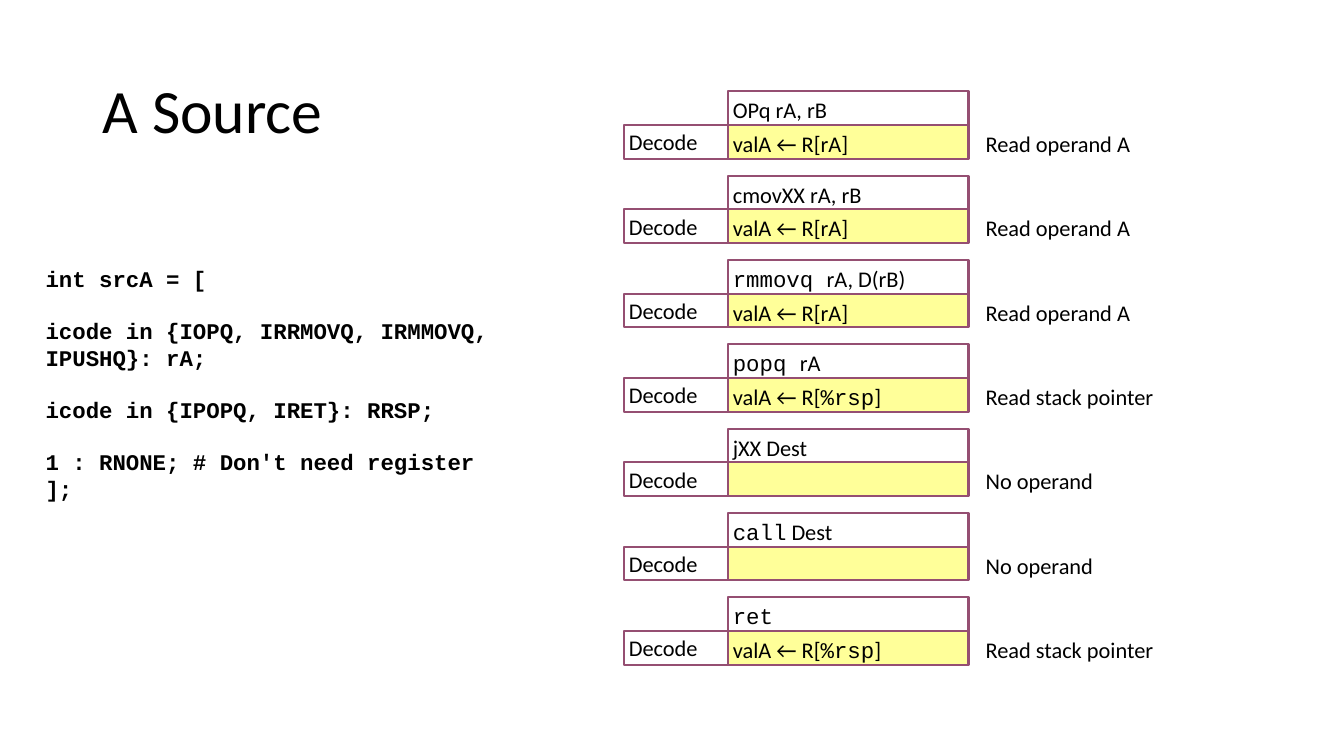
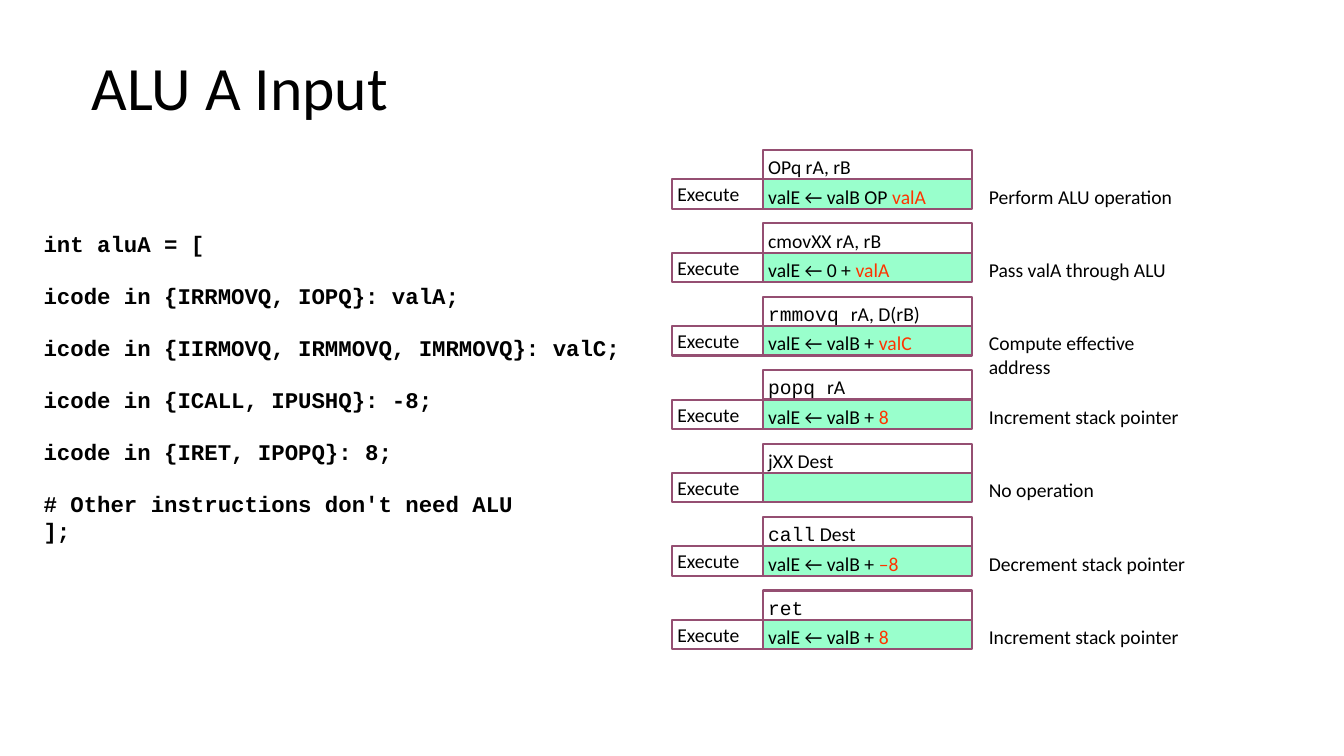
"""Build two slides that pair control logic code with its instruction stages."""
from pptx import Presentation
from pptx.dml.color import RGBColor
from pptx.enum.shapes import MSO_SHAPE
from pptx.enum.text import MSO_ANCHOR, PP_ALIGN
from pptx.util import Cm, Pt

COLORS = {
    "text": "000000",
    "border": "954F72",
    "decode": "FFFF99",
    "execute": "99FFCC",
    "operand": "FF3300",
}
BODY_FONT = "Calibri"
CODE_FONT = "Courier New"
INSET = Cm(0.13)
NOTE_GAP = 0.3
ROW_PITCH = 2.5

INSTRUCTIONS = [
    [("OPq rA, rB", "body")],
    [("cmovXX rA, rB", "body")],
    [("rmmovq ", "code"), ("rA, D(rB)", "body")],
    [("popq ", "code"), ("rA", "body")],
    [("jXX Dest", "body")],
    [("call", "code"), (" Dest", "body")],
    [("ret", "code")],
]
READ_A = [("valA ← R[rA]", "body")]
READ_STACK = [("valA ← R[", "body"), ("%rsp", "code"), ("]", "body")]
ADD_EIGHT = [("valE ← valB + ", "body"), ("8", "operand")]

SLIDES = [
    {
        "title": "A Source",
        "title_box": (2.34, 1.02, 29.21, 3.68),
        "code_box": (1.02, 6.55, 14, 6.4),
        "code": [
            "int srcA = [",
            "icode in {IOPQ, IRRMOVQ, IRMMOVQ, IPUSHQ}: rA;",
            "icode in {IPOPQ, IRET}: RRSP;",
            "1 : RNONE; # Don't need register",
            "];",
        ],
        "stage": "Decode",
        "fill": "decode",
        "size": 16,
        "left": 15.72,
        "top": 2.3,
        "stage_width": 2.62,
        "cell_width": 6.07,
        "row_height": 0.85,
        "rows": [
            (READ_A, "Read operand A"),
            (READ_A, "Read operand A"),
            (READ_A, "Read operand A"),
            (READ_STACK, "Read stack pointer"),
            ([], "No operand"),
            ([], "No operand"),
            (READ_STACK, "Read stack pointer"),
        ],
    },
    {
        "title": "ALU A Input",
        "title_box": (2.06, 1.19, 24.23, 2.16),
        "code_box": (0.97, 5.66, 15.09, 8.46),
        "code": [
            "int aluA = [",
            "icode in {IRRMOVQ, IOPQ}: valA;",
            "icode in {IIRMOVQ, IRMMOVQ, IMRMOVQ}: valC;",
            "icode in {ICALL, IPUSHQ}: -8;",
            "icode in {IRET, IPOPQ}: 8;",
            "# Other instructions don't need ALU",
            "];",
        ],
        "stage": "Execute",
        "fill": "execute",
        "size": 14,
        "left": 16.94,
        "top": 3.78,
        "stage_width": 2.29,
        "cell_width": 5.26,
        "row_height": 0.74,
        "rows": [
            ([("valE ← valB OP ", "body"), ("valA", "operand")], "Perform ALU operation"),
            ([("valE ← 0 + ", "body"), ("valA", "operand")], "Pass valA through ALU"),
            ([("valE ← valB + ", "body"), ("valC", "operand")], "Compute effective address"),
            (ADD_EIGHT, "Increment stack pointer"),
            ([], "No operation"),
            ([("valE ← valB + ", "body"), ("–8", "operand")], "Decrement stack pointer"),
            (ADD_EIGHT, "Increment stack pointer"),
        ],
    },
]


def set_font(paragraph, size, name=BODY_FONT, bold=False):
    paragraph.alignment = PP_ALIGN.LEFT
    paragraph.font.name = name
    paragraph.font.size = Pt(size)
    paragraph.font.bold = bold
    paragraph.font.color.rgb = RGBColor.from_string(COLORS["text"])


def add_box(slide, box, runs, size, fill=None, border=True, anchor=MSO_ANCHOR.TOP):
    lengths = [Cm(length) for length in box]
    if border:
        shape = slide.shapes.add_shape(MSO_SHAPE.RECTANGLE, *lengths)
        shape.shadow.inherit = False
        shape.line.color.rgb = RGBColor.from_string(COLORS["border"])
        shape.line.width = Pt(1.5)
        if fill:
            shape.fill.solid()
            shape.fill.fore_color.rgb = RGBColor.from_string(COLORS[fill])
        else:
            shape.fill.background()
    else:
        shape = slide.shapes.add_textbox(*lengths)
    frame = shape.text_frame
    frame.word_wrap = True
    frame.vertical_anchor = anchor
    frame.margin_left = frame.margin_right = INSET
    frame.margin_top = frame.margin_bottom = INSET
    paragraph = frame.paragraphs[0]
    set_font(paragraph, size)
    for text, style in runs:
        run = paragraph.add_run()
        run.text = text
        font = paragraph.font if len(runs) == 1 else run.font
        if style == "code":
            font.name = CODE_FONT
        elif style == "operand":
            font.color.rgb = RGBColor.from_string(COLORS["operand"])


presentation = Presentation()
presentation.slide_width = Cm(33.87)
presentation.slide_height = Cm(19.05)

for content in SLIDES:
    slide = presentation.slides.add_slide(presentation.slide_layouts[6])

    title = slide.shapes.add_textbox(*[Cm(length) for length in content["title_box"]])
    title.text_frame.word_wrap = True
    title.text_frame.vertical_anchor = MSO_ANCHOR.MIDDLE
    paragraph = title.text_frame.paragraphs[0]
    paragraph.text = content["title"]
    paragraph.line_spacing = 0.9
    set_font(paragraph, 44)

    code = slide.shapes.add_textbox(*[Cm(length) for length in content["code_box"]])
    frame = code.text_frame
    frame.word_wrap = True
    frame.margin_left = frame.margin_right = INSET
    frame.margin_top = frame.margin_bottom = INSET
    for index, line in enumerate(content["code"]):
        paragraph = frame.add_paragraph() if index else frame.paragraphs[0]
        paragraph.text = line
        if index and line != "];":
            paragraph.space_before = Pt(18)
        set_font(paragraph, 16, CODE_FONT, True)

    size, height = content["size"], content["row_height"]
    stage_width, cell_width = content["stage_width"], content["cell_width"]
    cell_left = content["left"] + stage_width
    note_left = cell_left + cell_width + NOTE_GAP
    for index, (operation, note) in enumerate(content["rows"]):
        top = content["top"] + index * ROW_PITCH * height
        lower = top + height
        add_box(slide, (cell_left, top, cell_width, height), INSTRUCTIONS[index], size)
        add_box(slide, (cell_left, lower, cell_width, height), operation, size, content["fill"])
        add_box(slide, (content["left"], lower, stage_width, height),
                [(content["stage"], "body")], size, anchor=MSO_ANCHOR.MIDDLE)
        add_box(slide, (note_left, lower, cell_width, height), [(note, "body")], size, border=False)

presentation.save("out.pptx")
